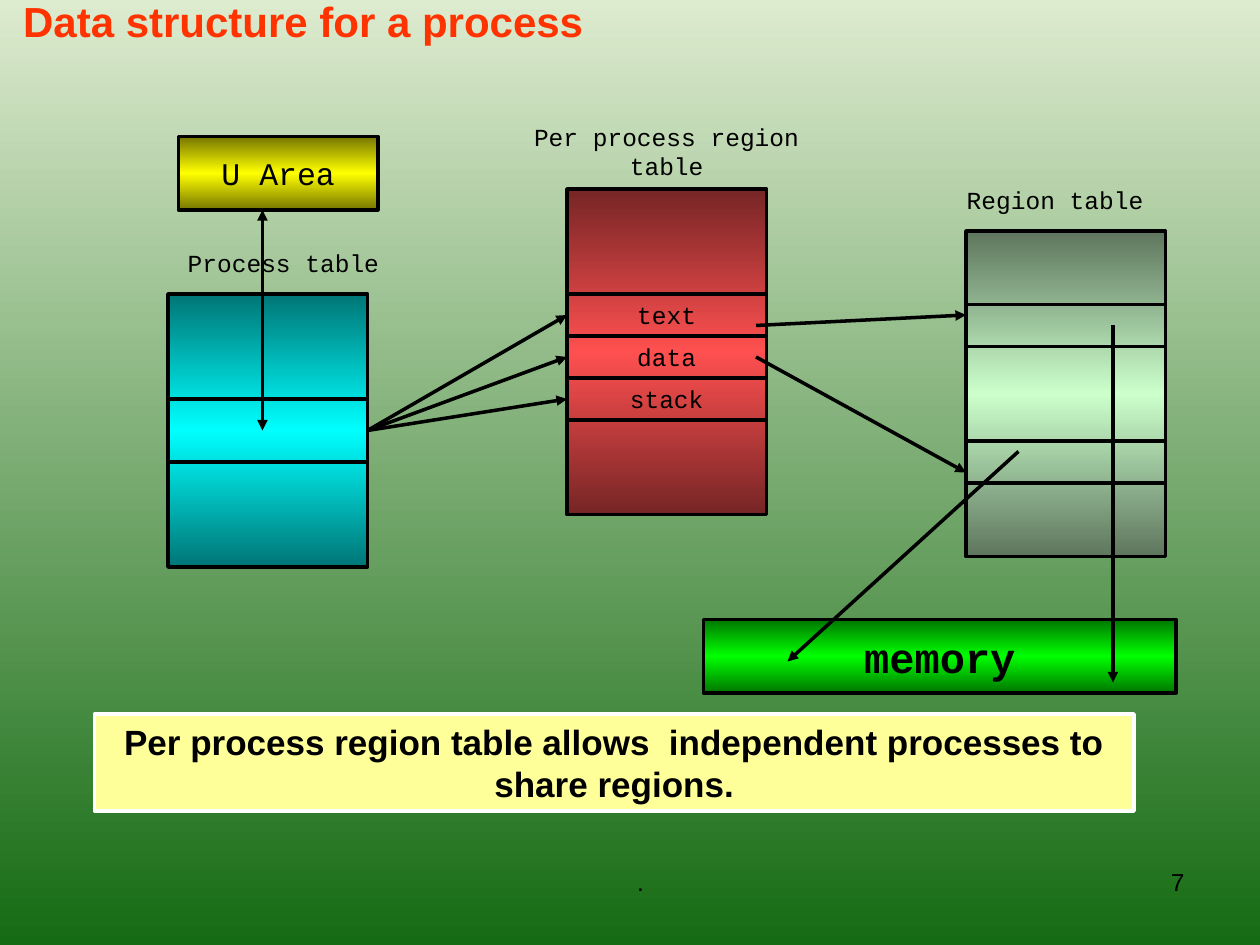
from collections import namedtuple
from copy import deepcopy

from lxml.etree import SubElement
from pptx import Presentation
from pptx.dml.color import RGBColor
from pptx.enum.shapes import MSO_CONNECTOR as CONN, MSO_SHAPE as SHAPE
from pptx.enum.text import MSO_ANCHOR as ANCHOR, MSO_AUTO_SIZE as AUTO, PP_ALIGN as ALIGN
from pptx.oxml.ns import qn
from pptx.util import Cm, Pt

Box = namedtuple("Box", "x y w h")
GRID = 2.54 / 12  # all boxes are given in grid steps of a twelfth of an inch


class Theme:
    sans, mono = "Arial", "Courier New"
    black, white, title, note = "000000", "FFFFFF", "FF3300", "FFFF99"
    backdrop = ("DDEBCF", "156B13")
    yellow = ("767600", "FFFF00", "767600")
    cyan = ("007676", "00FFFF", "007676")
    red = ("762525", "FF5050", "762525")
    mint = ("5E765E", "CCFFCC", "5E765E")
    green = ("007600", "00FF00", "007600")
    small, medium, large, heading = Pt(14), Pt(18), Pt(20), Pt(24)
    line = Pt(2)


def g(n):
    return Cm(n * GRID)


def place(box):
    return [g(n) for n in box]


def paint_gradient(fill, element, colors):
    """Fill from top to bottom with two or three evenly spaced colours."""
    fill.gradient()
    fill.gradient_angle = 270
    stop_list = next(element.iter(qn("a:gsLst")))
    if len(colors) == 3:
        stop_list.insert(1, deepcopy(stop_list[0]))
    for i, (stop, color) in enumerate(zip(fill.gradient_stops, colors)):
        stop.position = i / (len(colors) - 1)
        stop.color.rgb = RGBColor.from_string(color)


def write(tf, text, color=Theme.black, align=ALIGN.CENTER, anchor=ANCHOR.TOP,
          wrap=True, **font):
    frame = {"word_wrap": wrap, "auto_size": AUTO.NONE, "vertical_anchor": anchor}
    for name, value in frame.items():
        setattr(tf, name, value)
    p = tf.paragraphs[0]
    p.alignment = align
    r = p.add_run()
    r.text = text
    r.font.color.rgb = RGBColor.from_string(color)
    for name, value in font.items():
        setattr(r.font, name, value)


def add_label(slide, box, text, **style):
    style = {"name": Theme.mono, "size": Theme.small, **style}
    write(slide.shapes.add_textbox(*place(box)).text_frame, text, **style)


def add_block(slide, box, fill, border=Theme.black):
    sp = slide.shapes.add_shape(SHAPE.RECTANGLE, *place(box))
    sp.shadow.inherit = False
    if isinstance(fill, str):
        sp.fill.solid()
        sp.fill.fore_color.rgb = RGBColor.from_string(fill)
    else:
        paint_gradient(sp.fill, sp.element, fill)
    sp.line.color.rgb = RGBColor.from_string(border)
    sp.line.width = Theme.line
    return sp


def add_line(slide, start, end, *arrow_ends):
    """arrow_ends: "headEnd" for the start, "tailEnd" for the end."""
    cn = slide.shapes.add_connector(CONN.STRAIGHT, *place(start + end))
    cn.line.color.rgb = RGBColor.from_string(Theme.black)
    cn.line.width = Theme.line
    for name in arrow_ends:
        SubElement(cn.line._get_or_add_ln(), qn(f"a:{name}"), type="triangle")
    SubElement(cn.element.spPr, qn("a:effectLst"))
    return cn


def add_title(slide, box):
    title = slide.shapes.title
    title.left, title.top, title.width, title.height = place(box)
    write(title.text_frame, "Data structure for a process", Theme.title, ALIGN.LEFT,
          ANCHOR.MIDDLE, name=Theme.sans, size=Theme.heading, bold=True)


def add_named_block(slide, box, text, fill, **font):
    sp = add_block(slide, box, fill)
    write(sp.text_frame, text, anchor=ANCHOR.MIDDLE, wrap=False, name=Theme.mono, **font)


def add_divided_table(slide, box, fill, rules, heading, heading_box):
    """Block with a heading above; rules are offsets from the block's top."""
    sp = add_block(slide, box, fill)
    for dy in rules:
        y = box.y + dy
        add_line(slide, (box.x, y), (box.x + box.w, y))
    dx, dy, w, h = heading_box
    add_label(slide, Box(box.x + dx, box.y + dy, w, h), heading)
    return sp


def add_row_names(slide, box, first, step, names):
    for i, name in enumerate(names):
        add_label(slide, Box(box.x + 1, box.y + first + i * step, box.w - 2, step), name)


def add_arrows(slide, process_table, process, per_process, region, memory):
    # U area and process entry point at each other
    x = process.x + 9
    add_line(slide, (x, process.y - 8), (x, process.y + 13), "headEnd", "tailEnd")
    # Process entry to its text, data and stack rows
    start = (process.x + process.w, process.y + process.h / 2)
    for dy in (12, 16, 20):
        cn = add_line(slide, start, (per_process.x, per_process.y + dy), "tailEnd")
        cn.begin_connect(process_table, 3)
    # Per process rows to region rows
    for dy, target in ((13, 8), (16, 23)):
        add_line(slide, (per_process.x + per_process.w - 1, per_process.y + dy),
                 (region.x, region.y + target), "tailEnd")
    # Region rows to memory
    for dx, dy, to_x, to_y in ((14, 9, 39, 6), (5, 21, 8, 4)):
        add_line(slide, (region.x + dx, region.y + dy),
                 (memory.x + to_x, memory.y + to_y), "tailEnd")


def add_note(slide, box):
    sp = add_block(slide, box, Theme.note, Theme.white)
    write(sp.text_frame,
          "Per process region table allows  independent processes to share regions.",
          name=Theme.sans, size=Theme.large, bold=True)


def add_footer(slide, box):
    add_label(slide, Box(box.x, box.y, 38, box.h), ".", name=Theme.sans)
    add_label(slide, Box(box.x + box.w - 28, box.y, 28, box.h), "7",
              name=Theme.sans, align=ALIGN.RIGHT)


def main():
    prs = Presentation()
    prs.slide_width, prs.slide_height = Cm(25.4), Cm(19.05)
    slide = prs.slides.add_slide(prs.slide_layouts[5])
    paint_gradient(slide.background.fill, slide.element, Theme.backdrop)

    process, per_process = Box(16, 28, 19, 26), Box(54, 18, 19, 31)
    region, memory = Box(92, 22, 19, 31), Box(67, 59, 45, 7)

    add_footer(slide, Box(42, 82, 72, 6.2))
    add_title(slide, Box(1, -3, 102, 10))
    add_named_block(slide, Box(17, 13, 19, 7), "U Area", Theme.yellow, size=Theme.medium)
    process_table = add_divided_table(slide, process, Theme.cyan, (10, 16),
                                      "Process table", (-3, -5, 28, 4))
    add_divided_table(slide, per_process, Theme.red, (10, 14, 18, 22),
                      "Per process region table", (-5, -7, 29, 7))
    add_row_names(slide, per_process, 10, 4, ("text", "data", "stack"))
    add_divided_table(slide, region, Theme.mint, (7, 11, 20, 24),
                      "Region table", (-6, -5, 29, 4))
    add_named_block(slide, memory, "memory", Theme.green, size=Theme.heading, bold=True)
    add_arrows(slide, process_table, process, per_process, region, memory)
    add_note(slide, Box(9, 68, 99, 9.25))
    prs.save("out.pptx")


if __name__ == "__main__":
    main()
